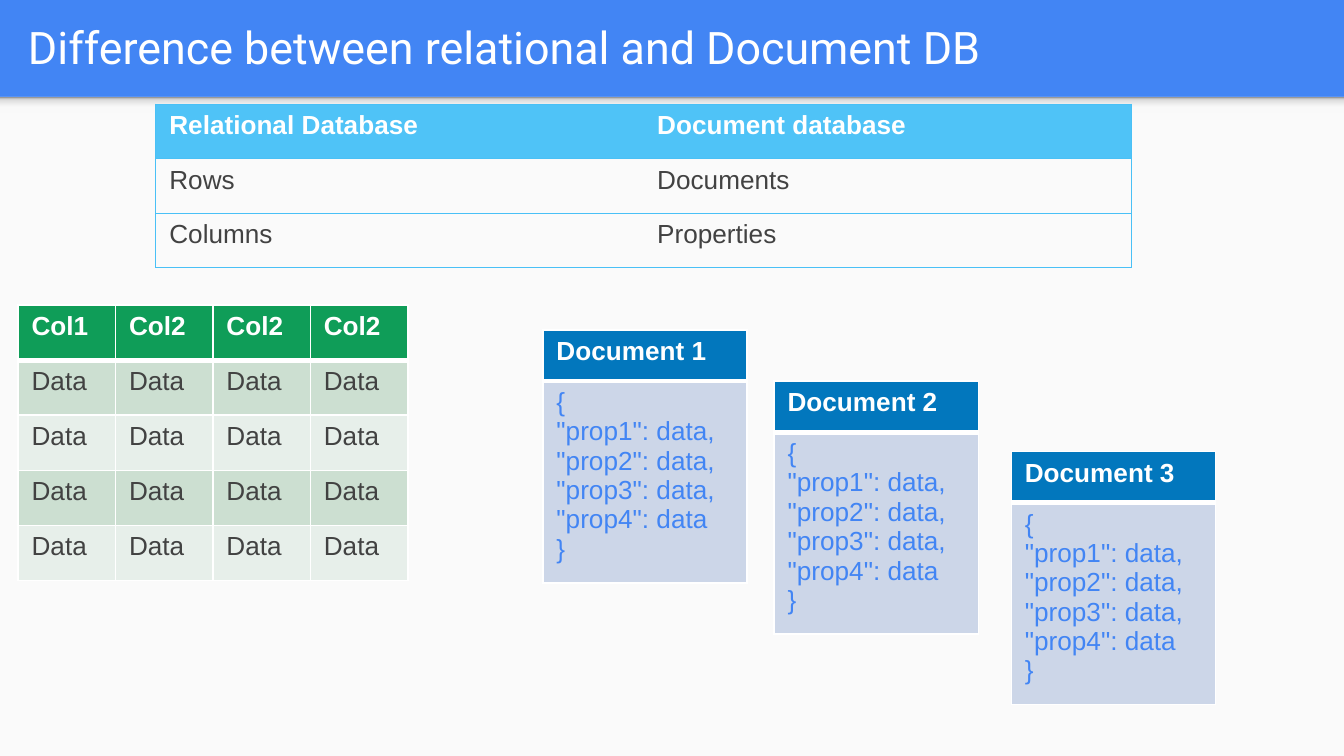
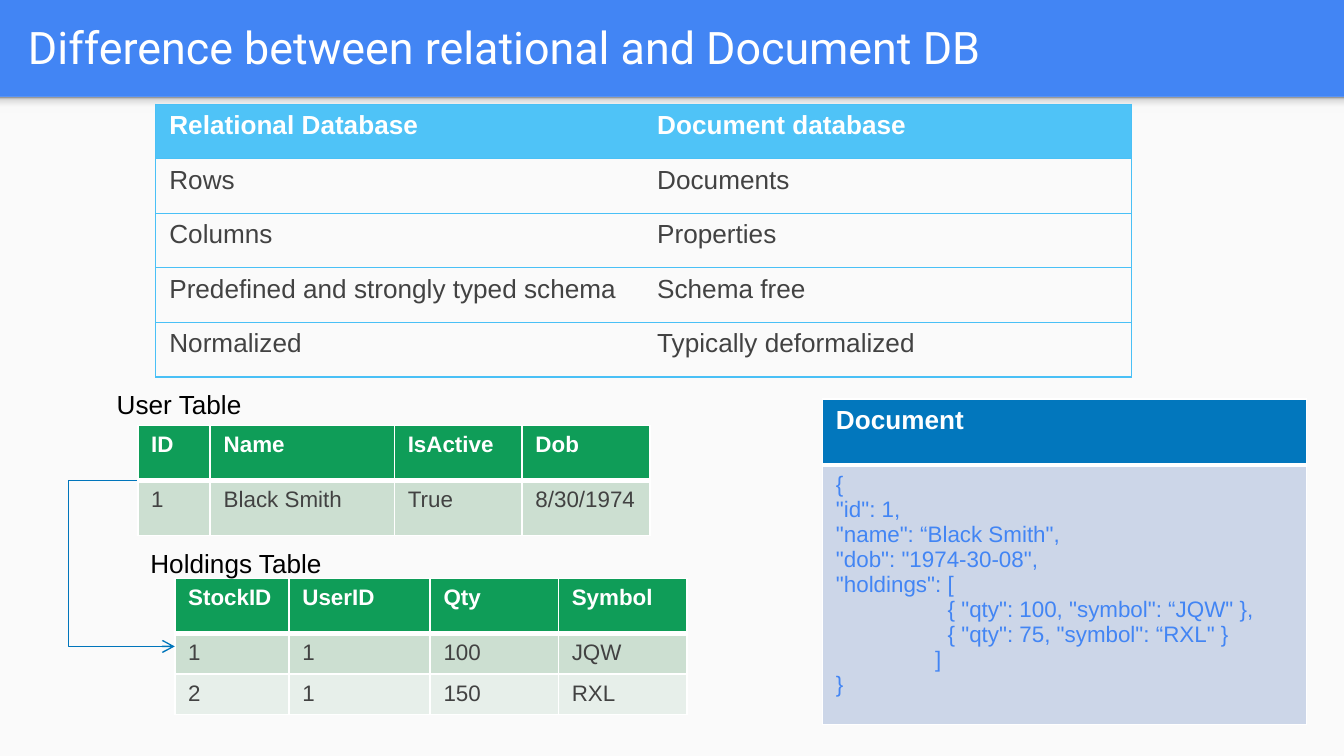
"""Build two slides that compare relational and document databases."""
from dataclasses import dataclass

from pptx import Presentation
from pptx.dml.color import RGBColor
from pptx.enum.shapes import MSO_CONNECTOR, MSO_SHAPE
from pptx.enum.text import MSO_ANCHOR
from pptx.oxml import parse_xml
from pptx.oxml.ns import nsdecls, qn
from pptx.util import Inches, Pt

COLUMNS, ROWS = 100, 56.25
BAND = 7.2
ROW = 4.1
NO_GRID = "{2D5ABB26-0587-4C30-8999-92F81FD0307C}"
TITLE = "Difference between relational and Document DB"
COLORS = {
    "band": "4285F4", "page": "FAFAFA", "white": "FFFFFF", "black": "000000",
    "sky": "4FC3F7", "sky_line": "49C0F6", "green": "0F9D58",
    "green_dark": "CCDFD1", "green_light": "E7EFEA", "blue": "0277BD",
    "blue_light": "CCD6E8", "body": "424242", "arrow": "0075BB",
}
SHADOW_STOPS = [(0, "F9F9F9"), (36, "F9F9F9"), (80, "DEDEDE"), (100, "999999")]
COMPARISON = [
    ["Relational Database", "Document database"],
    ["Rows", "Documents"],
    ["Columns", "Properties"],
    ["Predefined and strongly typed schema", "Schema free"],
    ["Normalized", "Typically deformalized"],
]
PROPERTIES = """{
"prop1": data,
"prop2": data,
"prop3": data,
"prop4": data
}"""
USER_DOCUMENT = """{
"id": 1,
"name": “Black Smith",
"dob": "1974-30-08",
"holdings": [
                  { "qty": 100, "symbol": “JQW" },
                  { "qty": 75, "symbol": “RXL" }
                ]
}"""


@dataclass
class TableStyle:
    """Colours and borders of one kind of table."""
    header: str
    bands: tuple
    text: str
    line: str = "white"
    line_width: float = 1
    header_line: float = 3
    framed: bool = False


COMPARISON_STYLE = TableStyle("sky", (None,), "body", "sky_line", 0.75, 0.75, True)
DATA_STYLE = TableStyle("green", ("green_dark", "green_light"), "body")
DOCUMENT_STYLE = TableStyle("blue", ("blue_light",), "band")


def grid(count):
    """Turn a count of grid units into a length."""
    return Inches(10 * count / COLUMNS)


def color(name):
    """Look up a colour by its name."""
    return RGBColor.from_string(COLORS[name])


def write(frame, text, size, ink, bold=False, font="Arial"):
    """Fill a text frame with one paragraph for each line."""
    for index, line in enumerate(text.split("\n")):
        paragraph = frame.add_paragraph() if index else frame.paragraphs[0]
        run = paragraph.add_run()
        run.text = line
        run.font.name, run.font.size, run.font.bold = font, Pt(size), bold
        run.font.color.rgb = color(ink)


def add_text(slide, left, top, width, height, text, size, ink, font="Arial"):
    """Add a wrapping text box and return its frame."""
    box = slide.shapes.add_textbox(*map(grid, (left, top, width, height)))
    box.text_frame.word_wrap = True
    write(box.text_frame, text, size, ink, font=font)
    return box.text_frame


def add_panel(slide, top, height):
    """Add a full-width page-coloured rectangle without outline."""
    panel = slide.shapes.add_shape(
        MSO_SHAPE.RECTANGLE, 0, grid(top), grid(COLUMNS), grid(height))
    panel.shadow.inherit = False
    panel.fill.solid()
    panel.fill.fore_color.rgb = color("page")
    panel.line.fill.background()
    return panel


def add_band_shadow(slide):
    """Add the gradient strip under the title band."""
    strip = add_panel(slide, BAND, 1.2)
    stops = "".join(
        f'<a:gs pos="{share * 1000}"><a:srgbClr val="{shade}"/></a:gs>'
        for share, shade in SHADOW_STOPS)
    gradient = parse_xml(
        f'<a:gradFill {nsdecls("a")}><a:gsLst>{stops}</a:gsLst>'
        '<a:lin ang="16200000" scaled="0"/></a:gradFill>')
    properties = strip._element.spPr
    properties.replace(properties.find(qn("a:solidFill")), gradient)


def add_titled_slide(presentation):
    """Add a slide with the band, the page area and the title."""
    slide = presentation.slides.add_slide(presentation.slide_layouts[6])
    slide.background.fill.solid()
    slide.background.fill.fore_color.rgb = color("band")
    add_panel(slide, BAND, ROWS - BAND)
    add_band_shadow(slide)
    frame = add_text(slide, 1.1, 0.2, 96.5, 6.6, TITLE, 24, "white", "Roboto")
    frame.vertical_anchor = MSO_ANCHOR.MIDDLE
    frame.margin_top = frame.margin_bottom = grid(1)
    return slide


def add_borders(cell, style, is_header, is_first, is_last):
    """Draw the borders of a cell; framed tables have no inner verticals."""
    widths = {
        "L": style.line_width if is_first or not style.framed else None,
        "R": style.line_width if is_last or not style.framed else None,
        "T": style.line_width,
        "B": style.header_line if is_header else style.line_width,
    }
    properties = cell._tc.get_or_add_tcPr()
    for side, width in widths.items():
        if width:
            properties.append(parse_xml(
                f'<a:ln{side} {nsdecls("a")} w="{Pt(width)}"><a:solidFill>'
                f'<a:srgbClr val="{COLORS[style.line]}"/></a:solidFill></a:ln{side}>'))


def paint(cell, fill):
    """Fill a cell, or leave it clear."""
    if fill:
        cell.fill.solid()
        cell.fill.fore_color.rgb = color(fill)
    else:
        cell.fill.background()


def add_styled_table(slide, left, top, widths, heights, rows, style,
                     header_size=14, body_size=14):
    """Add a table with a header row and banded body rows."""
    table = slide.shapes.add_table(
        len(rows), len(widths), grid(left), grid(top),
        grid(sum(widths)), grid(sum(heights))).table
    table._tbl.tblPr.find(qn("a:tableStyleId")).text = NO_GRID
    for column, width in zip(table.columns, widths):
        column.width = grid(width)
    for row, height in zip(table.rows, heights):
        row.height = grid(height)
    for row_index, texts in enumerate(rows):
        is_header = row_index == 0
        band = style.bands[(row_index - 1) % len(style.bands)]
        for column_index, text in enumerate(texts):
            cell = table.cell(row_index, column_index)
            write(cell.text_frame, text, header_size if is_header else body_size,
                  "white" if is_header else style.text, is_header)
            add_borders(cell, style, is_header, column_index == 0,
                        column_index == len(texts) - 1)
            paint(cell, style.header if is_header else band)


def add_comparison(slide, rows):
    """Add the table that sets the two database kinds side by side."""
    add_styled_table(slide, 11.6, 7.75, [36.3] * 2, [4.06] * len(rows), rows,
                     COMPARISON_STYLE)


def add_document(slide, left, top, width, heights, name, code, size=14):
    """Add a document card with its name above its code."""
    add_styled_table(slide, left, top, [width], heights, [[name], [code]],
                     DOCUMENT_STYLE, body_size=size)


def add_line(slide, kind, left, top, right, bottom):
    """Add a thin connector without shadow."""
    connector = slide.shapes.add_connector(kind, *map(grid, (left, top, right, bottom)))
    connector.line.color.rgb = color("arrow")
    connector.line.width = Pt(0.75)
    connector._element.spPr.append(parse_xml(f'<a:effectLst {nsdecls("a")}/>'))
    return connector


def add_key_arrow(slide, left, top, right, bottom):
    """Add an arrow that runs down and then right."""
    center_x, center_y = (left + right) / 2, (top + bottom) / 2
    half_long, half_short = (bottom - top) / 2, (right - left) / 2
    arrow = add_line(slide, MSO_CONNECTOR.ELBOW,
                     center_x - half_long, center_y - half_short,
                     center_x + half_long, center_y + half_short)
    properties = arrow._element.spPr
    properties.find(qn("a:prstGeom")).set("prst", "bentConnector2")
    transform = properties.find(qn("a:xfrm"))
    transform.set("rot", "16200000")
    transform.set("flipH", "1")
    properties.find(qn("a:ln")).append(
        parse_xml(f'<a:tailEnd {nsdecls("a")} type="arrow"/>'))


def build_structure_slide(presentation):
    """Show rows and columns next to documents and properties."""
    slide = add_titled_slide(presentation)
    add_comparison(slide, COMPARISON[:3])
    rows = [["Col1"] + ["Col2"] * 3] + [["Data"] * 4] * 4
    add_styled_table(slide, 1.35, 22.7, [7.25] * 4, [ROW] * 5, rows, DATA_STYLE)
    corners = [(40.4, 24.55), (57.6, 28.35), (75.25, 33.6)]
    for number, (left, top) in enumerate(corners, 1):
        add_document(slide, left, top, 15.2, [3.8, 14.1],
                     f"Document {number}", PROPERTIES)


def build_schema_slide(presentation):
    """Show linked tables next to one nested document."""
    slide = add_titled_slide(presentation)
    add_comparison(slide, COMPARISON)
    users = [["ID", "Name", "IsActive", "Dob"],
             ["1", "Black Smith", "True", "8/30/1974"]]
    add_styled_table(slide, 10.25, 31.65, [5.4, 13.7, 9.5, 9.5], [ROW] * 2, users,
                     DATA_STYLE, 12, 12)
    holdings = [["StockID", "UserID", "Qty", "Symbol"],
                ["1", "1", "100", "JQW"],
                ["2", "1", "150", "RXL"]]
    add_styled_table(slide, 13, 43.05, [8.5, 10.5, 9.55, 9.55], [ROW, 2.95, 2.95],
                     holdings, DATA_STYLE, 12, 12)
    add_key_arrow(slide, 5.1, 35.75, 13, 48.1)
    add_line(slide, MSO_CONNECTOR.STRAIGHT, 5.1, 35.75, 10.2, 35.75)
    for left, top, label in [(7.7, 28.4, "User Table"), (10.2, 40.25, "Holdings Table")]:
        add_text(slide, left, top, 18.2, 3.4, label, 14, "black")
    add_document(slide, 61.2, 29.7, 36, [4.9, 19.3], "Document", USER_DOCUMENT, 12)


def main():
    """Build and save the presentation."""
    presentation = Presentation()
    presentation.slide_width, presentation.slide_height = grid(COLUMNS), grid(ROWS)
    build_structure_slide(presentation)
    build_schema_slide(presentation)
    presentation.save("out.pptx")


if __name__ == "__main__":
    main()
